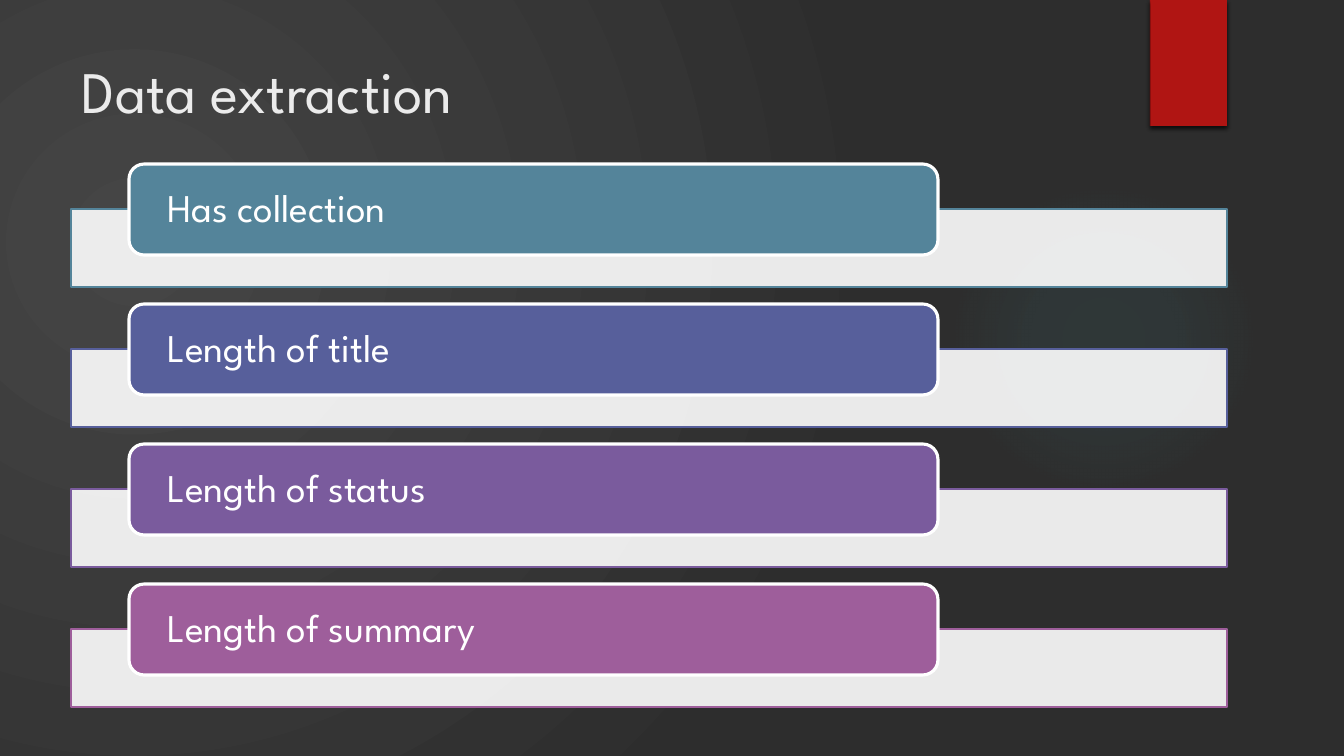
from lxml import etree
from pptx import Presentation
from pptx.dml.color import RGBColor
from pptx.enum.shapes import MSO_SHAPE
from pptx.enum.text import MSO_ANCHOR, PP_ALIGN
from pptx.oxml import parse_xml
from pptx.oxml.ns import nsdecls, qn
from pptx.util import Pt

PX = 12192000 / 1344
FONT = "League Spartan"
WHITE = RGBColor(0xFF, 0xFF, 0xFF)
PALE = RGBColor(0xEB, 0xEB, 0xEB)
RED = RGBColor(0xB0, 0x15, 0x13)
TEAL = RGBColor(0x54, 0x84, 0x9A)
BLUE = RGBColor(0x57, 0x5F, 0x9B)
VIOLET = RGBColor(0x7A, 0x5B, 0x9D)
MAUVE = RGBColor(0x9E, 0x5E, 0x9B)

deck = Presentation()
deck.slide_width = round(1344 * PX)
deck.slide_height = round(756 * PX)
slide = deck.slides.add_slide(deck.slide_layouts[6])


def add_box(kind, *box):
    shape = slide.shapes.add_shape(kind, *(round(n * PX) for n in box))
    shape.shadow.inherit = False
    shape.line.fill.background()
    return shape


def set_glow(root, stops, focus):
    """Turn the first gradient under root into a circular one."""
    marks = "".join(
        f'<a:gs pos="{pos * 1000}"><a:srgbClr val="{tint}">'
        f'<a:alpha val="{alpha * 1000}"/></a:srgbClr></a:gs>'
        for pos, tint, alpha in stops)
    left, top, right, bottom = (n * 1000 for n in focus)
    old = root.find(".//" + qn("a:gradFill"))
    old.getparent().replace(old, parse_xml(
        f'<a:gradFill {nsdecls("a")} rotWithShape="1"><a:gsLst>{marks}</a:gsLst>'
        f'<a:path path="circle"><a:fillToRect l="{left}" t="{top}" '
        f'r="{right}" b="{bottom}"/></a:path></a:gradFill>'))


# Background
slide.background.fill.gradient()
set_glow(slide.element, [(0, "454545", 100), (100, "2D2D2D", 100)],
         (45, 65, 125, 100))

# Soft glow on the right
glow = add_box(MSO_SHAPE.OVAL, 949, 184, 310, 310)
glow.fill.gradient()
set_glow(glow.element,
         [(0, "50B9C1", 7), (36, "50B9C1", 6), (69, "50B9C1", 0)],
         (50, 50, 50, 50))

# Red ribbon, in two layers
for left in (1150, 1151):
    ribbon = add_box(MSO_SHAPE.RECTANGLE, left, 0, 76, 126)
    ribbon.fill.solid()
    ribbon.fill.fore_color.rgb = RED
    ribbon.element.spPr.find(qn("a:effectLst")).append(parse_xml(
        f'<a:outerShdw {nsdecls("a")} blurRad="38100" dist="25400" dir="5400000">'
        '<a:srgbClr val="000000"><a:alpha val="45000"/></a:srgbClr></a:outerShdw>'))

# Title
title = slide.shapes.add_textbox(
    *(round(n * PX) for n in (72, 50, 1037, 154))).text_frame
title.word_wrap = True
head = title.paragraphs[0]
head.text = "Data extraction"
head.font.name = FONT
head.font.size = Pt(42)
head.font.color.rgb = PALE

# Rows: a pale bar with a coloured label on top
rows = [("Has collection", TEAL), ("Length of title", BLUE),
        ("Length of status", VIOLET), ("Length of summary", MAUVE)]
for i, (text, tint) in enumerate(rows):
    top = 164 + 140 * i
    bar = add_box(MSO_SHAPE.RECTANGLE, 71, top + 45, 1156, 78)
    bar.fill.solid()
    bar.fill.fore_color.rgb = WHITE
    shade = bar.element.spPr.find(qn("a:solidFill")).find(qn("a:srgbClr"))
    etree.SubElement(shade, qn("a:alpha")).set("val", "90000")
    bar.line.color.rgb = tint
    bar.line.width = Pt(1.5)

    label = add_box(MSO_SHAPE.ROUNDED_RECTANGLE, 129, top, 809, 91)
    label.fill.solid()
    label.fill.fore_color.rgb = tint
    label.line.color.rgb = WHITE
    label.line.width = Pt(2.25)
    frame = label.text_frame
    frame.word_wrap = True
    frame.vertical_anchor = MSO_ANCHOR.MIDDLE
    frame.margin_left = frame.margin_right = round(34 * PX)
    frame.margin_top = frame.margin_bottom = 0
    para = frame.paragraphs[0]
    para.text = text
    para.alignment = PP_ALIGN.LEFT
    para.line_spacing = 0.9
    para.font.name = FONT
    para.font.size = Pt(28)
    para.font.color.rgb = WHITE

deck.save("out.pptx")
